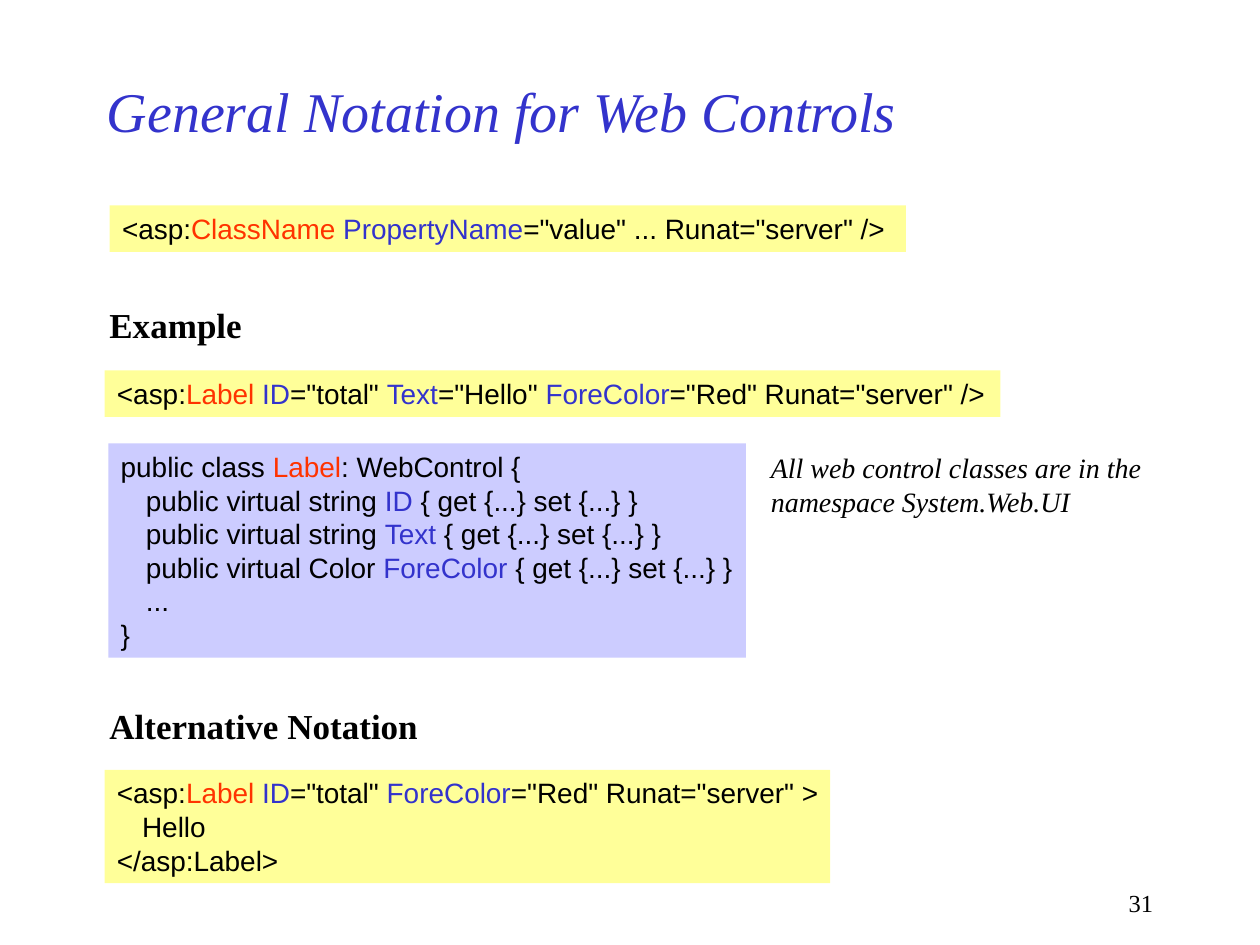
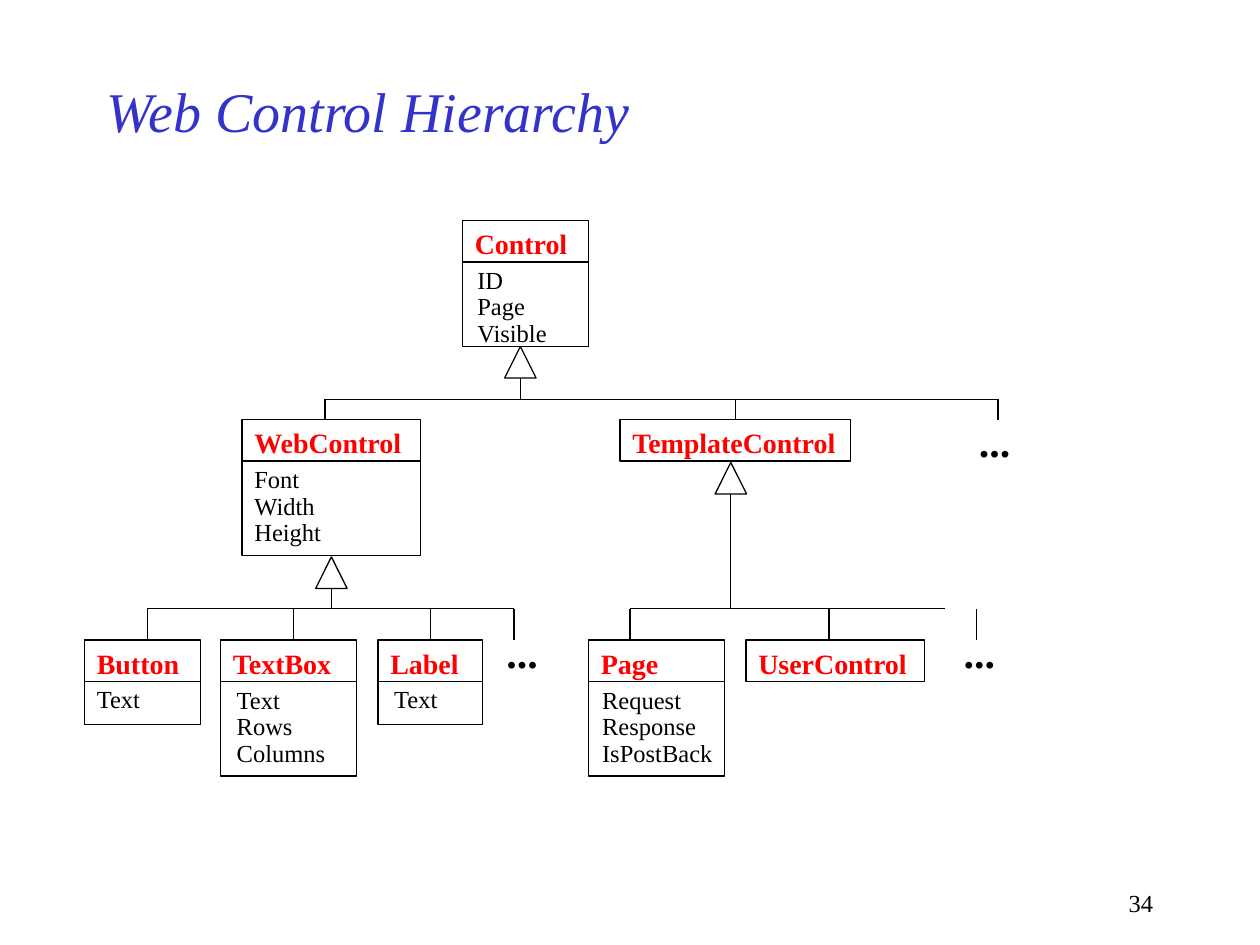
"""Build two slides on web control notation and the web control hierarchy."""
from dataclasses import dataclass

from lxml import etree
from pptx import Presentation
from pptx.dml.color import RGBColor
from pptx.enum import shapes, text
from pptx.oxml import ns
from pptx.util import Inches, Pt


@dataclass(frozen=True)
class Theme:
    serif: str = "Times New Roman"
    sans: str = "Arial"
    black: str = "000000"
    blue: str = "3333CC"
    orange: str = "FF3300"
    red: str = "FF0000"
    yellow: str = "FFFF99"
    lilac: str = "CCCCFF"
    title: int = 32
    dots: int = 24
    heading: int = 20
    body: int = 16
    small: int = 14
    line: float = 0.75


T = Theme()
INDENT = 0.2
ROW = 0.33
ARROW = 0.25


def cls(name):
    return name, T.orange


def prop(name):
    return name, T.blue


NOTATION = {
    "title": "General Notation for Web Controls",
    "number": "31",
    "headings": [("Example", 0.77, 2.36, 1.4), ("Alternative Notation", 0.77, 5.54, 2.8)],
    "code": [
        ((0.87, 1.63, 6.32, 0.37), T.yellow, [
            ["<asp:", cls("ClassName "), prop("PropertyName"), '="value" ... Runat="server" />']]),
        ((0.83, 2.94, 7.11, 0.37), T.yellow, [
            ["<asp:", cls("Label "), prop("ID"), '="total" ', prop("Text"), '="Hello" ',
             prop("ForeColor"), '="Red" Runat="server" />']]),
        ((0.86, 3.52, 5.06, 1.7), T.lilac, [
            ["public class ", cls("Label"), ": WebControl {"],
            ["public virtual string ", prop("ID"), " { get {...} set {...} }"],
            ["public virtual string ", prop("Text"), " { get {...} set {...} }"],
            ["public virtual Color ", prop("ForeColor"), " { get {...} set {...} }"],
            ["..."],
            ["}"]]),
        ((0.83, 6.11, 5.76, 0.9), T.yellow, [
            ["<asp:", cls("Label "), prop("ID"), '="total" ', prop("ForeColor"),
             '="Red" Runat="server" >'],
            ["Hello"],
            ["</asp:Label>"]]),
    ],
    "note": ["All web control classes are in the", "namespace System.Web.UI"],
}

# name: (left, top, width, height, member offset, members)
HIERARCHY = {
    "title": "Web Control Hierarchy",
    "number": "34",
    "classes": {
        "Control": (3.67, 1.75, 1, 1, 0.02, ["ID", "Page", "Visible"]),
        "WebControl": (1.92, 3.33, 1.42, 1.08, 0, ["Font", "Width", "Height"]),
        "TemplateControl": (4.92, 3.33, 1.83, ROW, 0, []),
        "Button": (0.67, 5.08, 0.92, 0.67, 0, ["Text"]),
        "TextBox": (1.75, 5.08, 1.08, 1.08, 0.03, ["Text", "Rows", "Columns"]),
        "Label": (3, 5.08, 0.83, 0.67, 0.03, ["Text"]),
        "Page": (4.67, 5.08, 1.08, 1.08, 0.01, ["Request", "Response", "IsPostBack"]),
        "UserControl": (5.92, 5.08, 1.42, ROW, 0, []),
    },
    "branches": [
        {"apex": (4.13, 2.75), "bus": (2.58, 7.92, 3.17), "dots": (7.67, 3.25),
         "drops": {"WebControl": 2.58, "TemplateControl": 5.83, "...": 7.92}},
        {"apex": (2.63, 4.42), "bus": (1.17, 4.08, 4.83), "dots": (3.92, 4.92),
         "drops": {"Button": 1.17, "TextBox": 2.33, "Label": 3.42, "...": 4.08}},
        {"apex": (5.8, 3.67), "bus": (5, 7.5, 4.83), "dots": (7.55, 4.92),
         "drops": {"Page": 5, "UserControl": 6.58, "...": 7.75}},
    ],
}


def rgb(color):
    return RGBColor.from_string(color)


def add_text(s, at, paragraphs, size=T.body, font=T.serif, color=T.black, bold=False,
             italic=False, fill=None, align=text.PP_ALIGN.LEFT, anchor=text.MSO_ANCHOR.TOP,
             spacing=None, indented=()):
    sp = s.shapes.add_textbox(*map(Inches, at))
    if fill:
        sp.fill.solid()
        sp.fill.fore_color.rgb = rgb(fill)
    tf = sp.text_frame
    tf.word_wrap = True
    tf.vertical_anchor = anchor
    if align == text.PP_ALIGN.LEFT:
        tf.margin_right = 0
    for i, runs in enumerate(paragraphs):
        p = tf.add_paragraph() if i else tf.paragraphs[0]
        p.alignment = align
        p.line_spacing = spacing
        if i in indented:
            p._p.get_or_add_pPr().set("marL", str(Inches(INDENT)))
        for run in [runs] if isinstance(runs, str) else runs:
            words, run_color = (run, color) if isinstance(run, str) else run
            r = p.add_run()
            r.text = words
            r.font.name = font
            r.font.size = Pt(size)
            r.font.bold = bold
            r.font.italic = italic
            r.font.color.rgb = rgb(run_color)
    return sp


def add_outline(s, kind, at):
    sp = s.shapes.add_shape(kind, *map(Inches, at))
    sp.shadow.inherit = False
    sp.fill.background()
    sp.line.color.rgb = rgb(T.black)
    sp.line.width = Pt(T.line)
    return sp


def add_line(s, x1, y1, x2, y2):
    c = s.shapes.add_connector(shapes.MSO_CONNECTOR.STRAIGHT, *map(Inches, (x1, y1, x2, y2)))
    c.line.color.rgb = rgb(T.black)
    c.line.width = Pt(T.line)
    etree.SubElement(c._element.spPr, ns.qn("a:effectLst"))
    return c


def new_slide(prs, content):
    s = prs.slides.add_slide(prs.slide_layouts[6])
    add_text(s, (0.75, 0.5, 7.5, 0.75), [content["title"]], size=T.title, color=T.blue,
             italic=True, anchor=text.MSO_ANCHOR.MIDDLE)
    add_text(s, (7.17, 7, 2.08, 0.33), [content["number"]], size=T.small,
             align=text.PP_ALIGN.RIGHT)
    return s


def add_class(s, name, left, top, width, height, offset, members):
    box = add_outline(s, shapes.MSO_SHAPE.RECTANGLE, (left, top, width, height))
    add_text(s, (left, top, width, 0.37), [name], color=T.red, bold=True)
    if members:
        y = top + ROW
        add_line(s, left, y, left + width, y)
        add_text(s, (left + offset, y, width, height - ROW), members, size=T.small, spacing=0.9)
    return box


def add_branch(s, branch, boxes):
    x, y = branch["apex"]
    start, end, bus = branch["bus"]
    add_outline(s, shapes.MSO_SHAPE.ISOSCELES_TRIANGLE, (x - ARROW / 2, y, ARROW, ARROW))
    add_line(s, x, y + ARROW, x, bus)
    add_line(s, start, bus, end, bus)
    row_top = max(box.top for name, box in boxes.items() if name in branch["drops"]).inches
    for name, drop in branch["drops"].items():
        c = add_line(s, drop, bus, drop, row_top)
        box = boxes.get(name)
        if box and abs(box.left + box.width / 2 - Inches(drop)) < Inches(0.02):
            c.begin_x = box.left + box.width // 2
            c.end_connect(box, 0)
    add_text(s, (*branch["dots"], 0.45, 0.5), ["..."], size=T.dots, bold=True)


def build_notation(prs):
    s = new_slide(prs, NOTATION)
    for heading, left, top, width in NOTATION["headings"]:
        add_text(s, (left, top, width, 0.44), [heading], size=T.heading, bold=True)
    for at, fill, lines in NOTATION["code"]:
        add_text(s, at, lines, font=T.sans, fill=fill, indented=range(1, len(lines) - 1))
    add_text(s, (6.02, 3.53, 3.15, 0.64), NOTATION["note"], italic=True)


def build_hierarchy(prs):
    s = new_slide(prs, HIERARCHY)
    boxes = {name: add_class(s, name, *parts) for name, parts in HIERARCHY["classes"].items()}
    for branch in HIERARCHY["branches"]:
        add_branch(s, branch, boxes)


def main():
    prs = Presentation()
    prs.slide_width, prs.slide_height = Inches(10), Inches(7.5)
    build_notation(prs)
    build_hierarchy(prs)
    prs.save("out.pptx")


if __name__ == "__main__":
    main()
